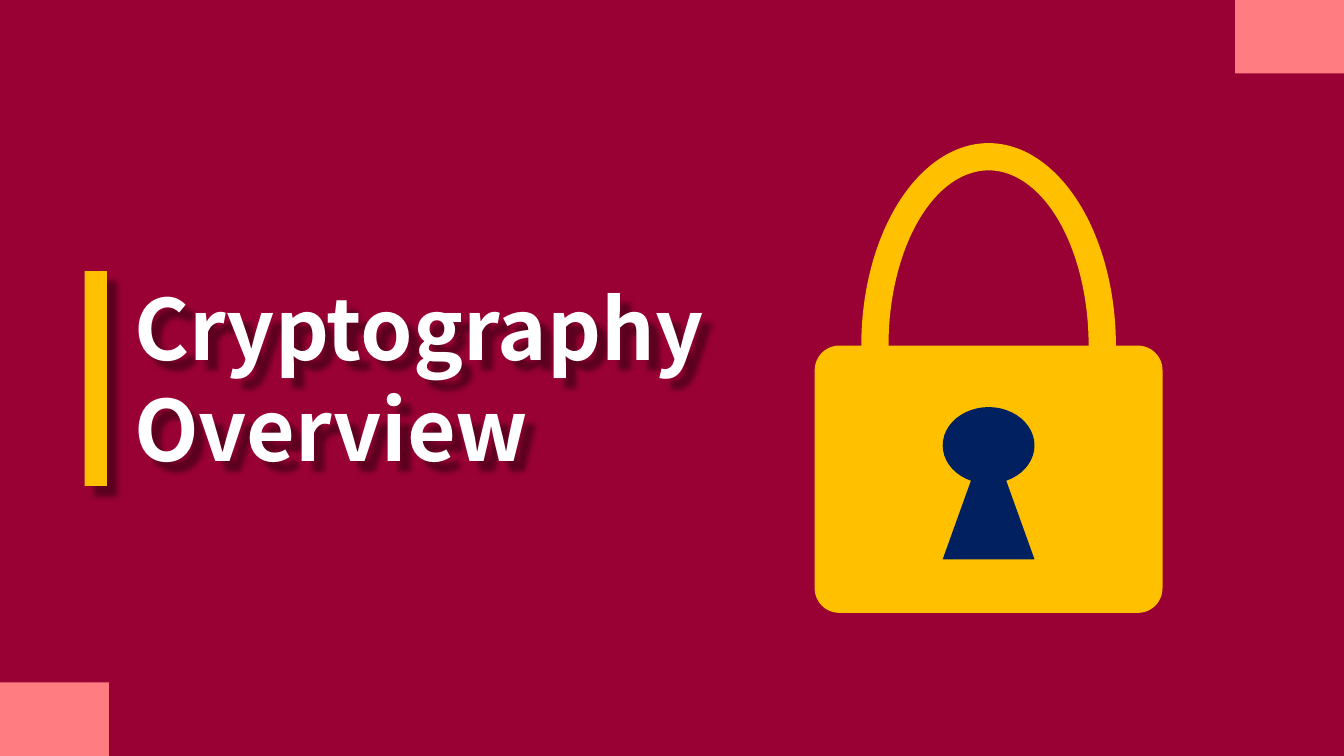
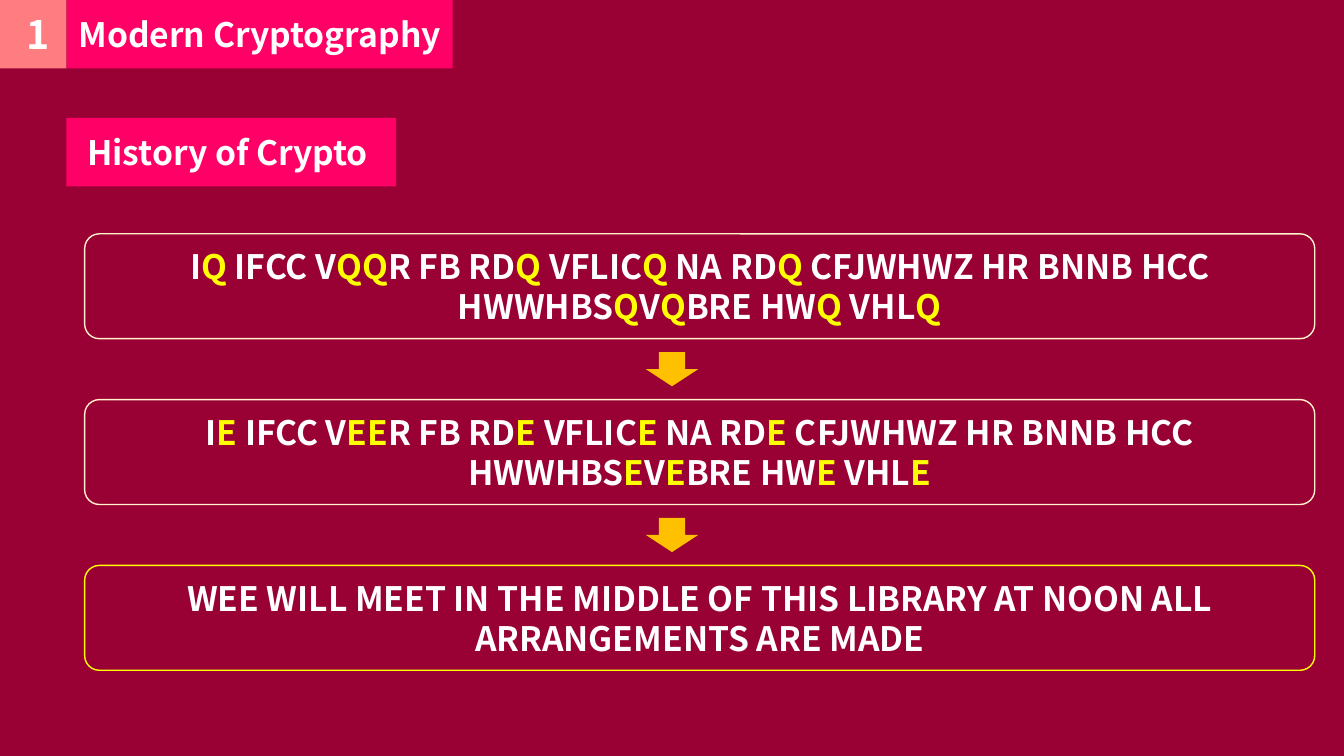
from itertools import groupby

from lxml import etree
from pptx import Presentation
from pptx.dml.color import RGBColor
from pptx.enum.shapes import MSO_SHAPE
from pptx.enum.text import MSO_ANCHOR, MSO_AUTO_SIZE, PP_ALIGN
from pptx.oxml.ns import qn
from pptx.util import Inches, Pt

WIDTH, HEIGHT = 13.33, 7.5
FONT = "Noto Sans CJK KR"
COLORS = {
    "ground": "990033",
    "band": "FF0066",
    "corner": "FF7C80",
    "gold": "FFC000",
    "keyhole": "002060",
    "cream": "FFF2CC",
    "yellow": "FFFF00",
    "white": "FFFFFF",
    "shade": "000000",
}
BAND_HEIGHT = 0.68
NUMBER_WIDTH = 0.66
GUESSED = "*"
CIPHER = ("I* IFCC V**R FB RD* VFLIC* NA RD* CFJWHWZ HR BNNB HCC "
          "HWWHBS*V*BRE HW* VHL*")
PLAIN = ("WEE WILL MEET IN THE MIDDLE OF THIS LIBRARY AT NOON ALL "
         "ARRANGEMENTS ARE MADE")


def rgb(name):
    return RGBColor.from_string(COLORS[name])


def place(shape, box):
    for side, length in zip(("left", "top", "width", "height"), box):
        setattr(shape, side, Inches(length))


def paint(shape, fill):
    shape.fill.solid()
    shape.fill.fore_color.rgb = rgb(fill)


def add_figure(shapes, kind, box, fill=None, line=None, adjust=None):
    """Add a flat preset shape to a page or group."""
    figure = shapes.add_shape(kind, *(Inches(length) for length in box))
    figure.shadow.inherit = False
    if fill:
        paint(figure, fill)
    else:
        figure.fill.background()
    if line:
        figure.line.color.rgb = rgb(line)
        figure.line.width = Pt(1)
    else:
        figure.line.fill.background()
    if adjust is not None:
        figure.adjustments[0] = adjust
    return figure


def cast_shadow(shape):
    shape.shadow.inherit = False
    effects = shape._element.spPr.find(qn("a:effectLst"))
    shadow = etree.SubElement(effects, qn("a:outerShdw"), blurRad=str(Pt(4)),
                              dist=str(Pt(10)), dir="2700000", algn="tl",
                              rotWithShape="0")
    color = etree.SubElement(shadow, qn("a:srgbClr"), val=COLORS["shade"])
    etree.SubElement(color, qn("a:alpha"), val="40000")


def write(shape, paragraphs, size=24, align=PP_ALIGN.CENTER,
          anchor=MSO_ANCHOR.MIDDLE, **margins):
    """Fill a shape with paragraphs, each a list of (text, color) spans."""
    frame = shape.text_frame
    layout = {"word_wrap": True, "auto_size": MSO_AUTO_SIZE.NONE,
              "vertical_anchor": anchor}
    layout.update((side, Inches(length)) for side, length in margins.items())
    for name, value in layout.items():
        setattr(frame, name, value)
    for index, spans in enumerate(paragraphs):
        para = frame.add_paragraph() if index else frame.paragraphs[0]
        para.alignment = align
        for text, color in spans:
            span = para.add_run()
            span.text = text
            for name, value in {"name": FONT, "size": Pt(size),
                                "bold": True}.items():
                setattr(span.font, name, value)
            span.font.color.rgb = rgb(color)


def new_page(deck):
    return deck.slides.add_slide(deck.slide_layouts[5])


def add_corners(page):
    width, height = 1.08, 0.73
    for left, top in ((WIDTH - width, 0), (0, HEIGHT - height)):
        add_figure(page.shapes, MSO_SHAPE.RECTANGLE,
                   (left, top, width, height), "corner")


def add_cover_title(page, box, lines):
    left, top, width, height = box
    bar_width, gap = 0.22, 0.17
    bar = add_figure(page.shapes, MSO_SHAPE.RECTANGLE,
                     (left, top, bar_width, height), "gold")
    cast_shadow(bar)
    title = page.shapes.title
    indent = bar_width + gap
    place(title, (left + indent, top, width - indent, height))
    write(title, [[(line, "white")] for line in lines], 60,
          PP_ALIGN.LEFT, MSO_ANCHOR.TOP)
    cast_shadow(title)


def add_padlock(page, box):
    """Draw a padlock whose parts are percentages of its box."""
    left, top, width, height = box
    lock = page.shapes.add_group_shape()
    parts = (
        (MSO_SHAPE.DONUT, (13.4, 0, 73.2, 86.3), "gold", 0.107),
        (MSO_SHAPE.ROUNDED_RECTANGLE, (0, 43.1, 100, 56.9), "gold", 0.092),
        (MSO_SHAPE.ISOSCELES_TRIANGLE, (36.8, 61.4, 26.4, 27.2),
         "keyhole", None),
        (MSO_SHAPE.OVAL, (36.8, 56.2, 26.4, 16.3), "keyhole", None),
    )
    for kind, (x, y, across, down), fill, adjust in parts:
        part_box = (left + width * x / 100, top + height * y / 100,
                    width * across / 100, height * down / 100)
        add_figure(lock.shapes, kind, part_box, fill, adjust=adjust)


def add_header(page, number, text, width):
    square = add_figure(page.shapes, MSO_SHAPE.RECTANGLE,
                        (0, 0, NUMBER_WIDTH, BAND_HEIGHT), "corner")
    write(square, [[(number, "white")]], 28, PP_ALIGN.LEFT,
          margin_left=0.26, margin_right=0)
    title = page.shapes.title
    place(title, (NUMBER_WIDTH, 0, width, BAND_HEIGHT))
    paint(title, "band")
    write(title, [[(text, "white")]], margin_left=0.05, margin_right=0.05)


def add_subheading(page, text, top, width):
    band = add_figure(page.shapes, MSO_SHAPE.RECTANGLE,
                      (NUMBER_WIDTH, top, width, BAND_HEIGHT), "band")
    write(band, [[(text, "white")]])


def guess_spans(letter):
    """Put a letter in the cipher's open places and highlight it there."""
    return [("".join(signs).replace(GUESSED, letter),
             "yellow" if guessed else "white")
            for guessed, signs in groupby(CIPHER, lambda sign: sign == GUESSED)]


def add_decoding_steps(page, box, steps):
    """Stack outlined messages with an arrow in each gap between them."""
    left, top, width, height = box
    row_height, arrow_width, arrow_height = 1.04, 0.52, 0.34
    pitch = (height - row_height) / (len(steps) - 1)
    for index, (spans, line) in enumerate(steps):
        row_top = top + index * pitch
        row = add_figure(page.shapes, MSO_SHAPE.ROUNDED_RECTANGLE,
                         (left, row_top, width, row_height),
                         line=line, adjust=0.14)
        write(row, [spans])
        if index:
            gap_middle = row_top - (pitch - row_height) / 2
            add_figure(page.shapes, MSO_SHAPE.DOWN_ARROW,
                       ((WIDTH - arrow_width) / 2,
                        gap_middle - arrow_height / 2,
                        arrow_width, arrow_height), "gold")


def build_cover(deck):
    page = new_page(deck)
    add_cover_title(page, (0.84, 2.69, 7.87, 2.13),
                    ("Cryptography", "Overview"))
    add_corners(page)
    add_padlock(page, (8.08, 1.42, 3.45, 4.66))


def build_history(deck):
    page = new_page(deck)
    add_header(page, "1", "Modern Cryptography", 3.83)
    add_subheading(page, "History of Crypto ", 1.17, 3.27)
    add_decoding_steps(page, (0.84, 2.32, 12.2, 4.33), (
        (guess_spans("Q"), "cream"),
        (guess_spans("E"), "cream"),
        ([(PLAIN, "white")], "yellow"),
    ))


def main():
    deck = Presentation()
    deck.slide_width, deck.slide_height = Inches(WIDTH), Inches(HEIGHT)
    ground = deck.slide_master.background.fill
    ground.solid()
    ground.fore_color.rgb = rgb("ground")
    build_cover(deck)
    build_history(deck)
    deck.save("out.pptx")


if __name__ == "__main__":
    main()
